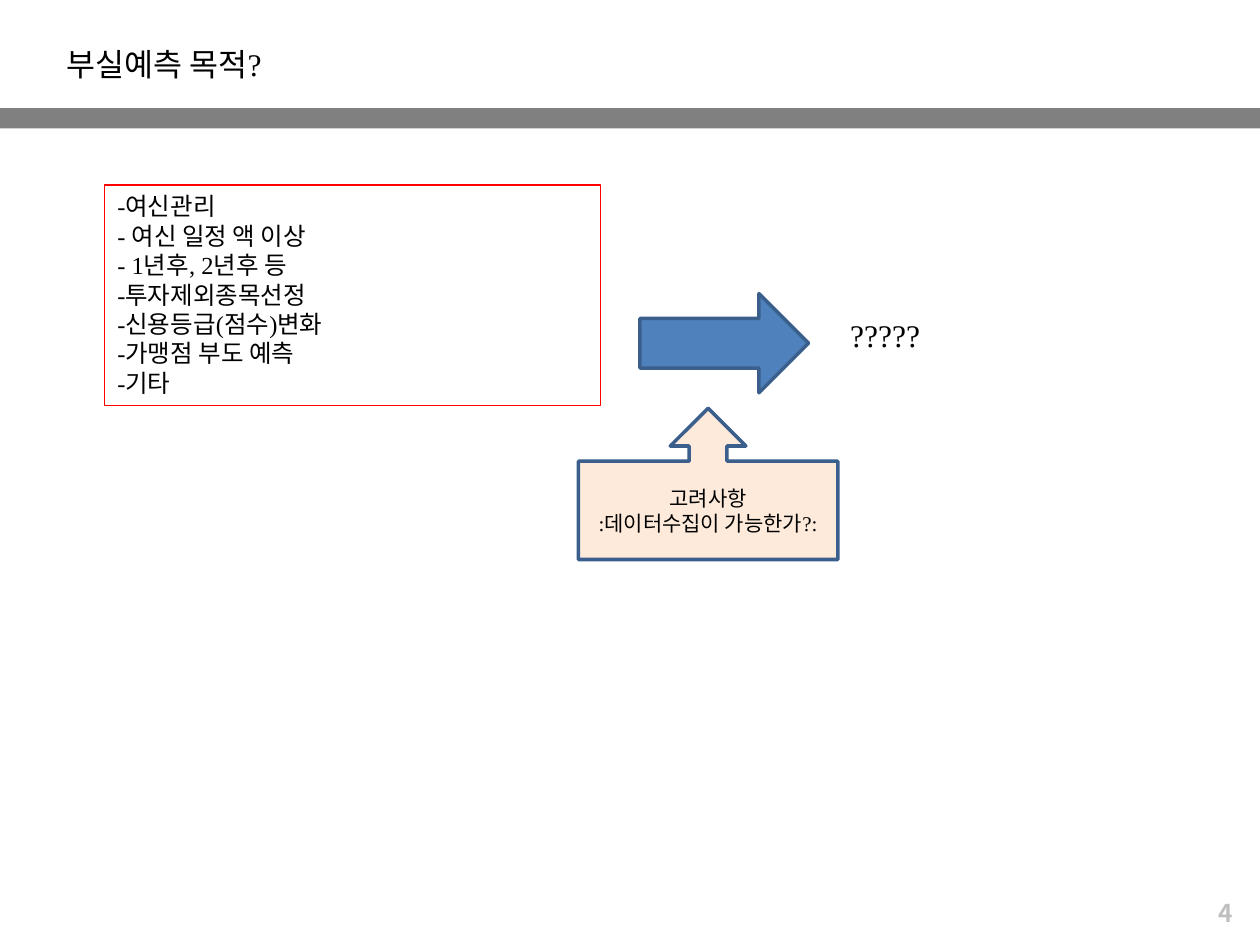
from pptx import Presentation
from pptx.dml.color import RGBColor
from pptx.enum.shapes import MSO_SHAPE
from pptx.enum.text import MSO_ANCHOR, MSO_AUTO_SIZE, PP_ALIGN
from pptx.oxml.ns import qn
from pptx.util import Cm, Pt

COLORS = {
    "band": "808080",
    "text": "000000",
    "number": "BFBFBF",
    "frame": "FF0000",
    "arrow": "4F81BD",
    "outline": "3A5F8C",
    "callout": "FDEADA",
}
PURPOSES = [
    "-여신관리",
    "- 여신 일정 액 이상",
    "- 1년후, 2년후 등",
    "-투자제외종목선정",
    "-신용등급(점수)변화",
    "-가맹점 부도 예측",
    "-기타",
]


def color(name):
    return RGBColor.from_string(COLORS[name])


class SlideBuilder:
    """Holds the text style and the slide being built."""

    font = "Times New Roman"

    def __init__(self, slide):
        self.slide = slide

    def place(self, shape, left, top, width, height):
        shape.left, shape.top = Cm(left), Cm(top)
        shape.width, shape.height = Cm(width), Cm(height)

    def set_text(self, shape, lines, size, align=PP_ALIGN.LEFT, anchor=MSO_ANCHOR.TOP,
                 font=None, ink="text", bold=False):
        frame = shape.text_frame
        frame.text = "\n".join(lines)
        frame.word_wrap = True
        frame.auto_size = MSO_AUTO_SIZE.NONE
        frame.vertical_anchor = anchor
        for para in frame.paragraphs:
            para.alignment = align
            for span in para.runs:
                span.font.name = font or self.font
                span.font.size = Pt(size)
                span.font.bold = bold
                span.font.color.rgb = color(ink)

    def outline(self, shape, name, width):
        shape.line.color.rgb = color(name)
        shape.line.width = Pt(width)

    def title(self, text, *box):
        title = self.slide.shapes.title
        self.place(title, *box)
        self.set_text(title, [text], 18)

    def plain_list(self, lines, *box):
        """Fill the body placeholder without its bullets and indents."""
        body = self.slide.placeholders[1]
        self.place(body, *box)
        self.outline(body, "frame", 0.75)
        self.set_text(body, lines, 14)
        for para in body.text_frame.paragraphs:
            para.space_before = Pt(0)
            properties = para._p.get_or_add_pPr()
            properties.set("marL", "0")
            properties.set("indent", "0")
            properties.append(properties.makeelement(qn("a:buNone"), {}))

    def text(self, text, *box, **style):
        label = self.slide.shapes.add_textbox(*map(Cm, box))
        self.set_text(label, [text], **style)

    def shape(self, kind, fill, *box, line=None):
        shape = self.slide.shapes.add_shape(kind, *map(Cm, box))
        shape.shadow.inherit = False
        shape.fill.solid()
        shape.fill.fore_color.rgb = color(fill)
        if line:
            self.outline(shape, line, 2)
        else:
            shape.line.fill.background()
        return shape


def main():
    deck = Presentation()
    deck.slide_width, deck.slide_height = Cm(25.4), Cm(19.05)
    page = SlideBuilder(deck.slides.add_slide(deck.slide_layouts[1]))

    page.shape(MSO_SHAPE.RECTANGLE, "band", 0, 2.18, 25.4, 0.41)
    page.text("4", 21.11, 17.98, 3.99, 0.86, size=14, align=PP_ALIGN.RIGHT,
              font="Noto Sans CJK KR", ink="number", bold=True)
    page.title("부실예측 목적?", 1.09, 0.79, 8.2, 1.02)
    page.plain_list(PURPOSES, 2.11, 3.73, 10, 4.45)
    page.shape(MSO_SHAPE.RIGHT_ARROW, "arrow", 12.9, 5.92, 3.4, 2, line="outline")
    page.text("?????", 16.89, 6.25, 4.6, 1.02, size=18)
    callout = page.shape(MSO_SHAPE.UP_ARROW_CALLOUT, "callout",
                         11.66, 8.23, 5.23, 3.05, line="outline")
    page.set_text(callout, ["고려사항", ":데이터수집이 가능한가?:"], 12,
                  align=PP_ALIGN.CENTER, anchor=MSO_ANCHOR.MIDDLE)

    deck.save("out.pptx")


if __name__ == "__main__":
    main()
